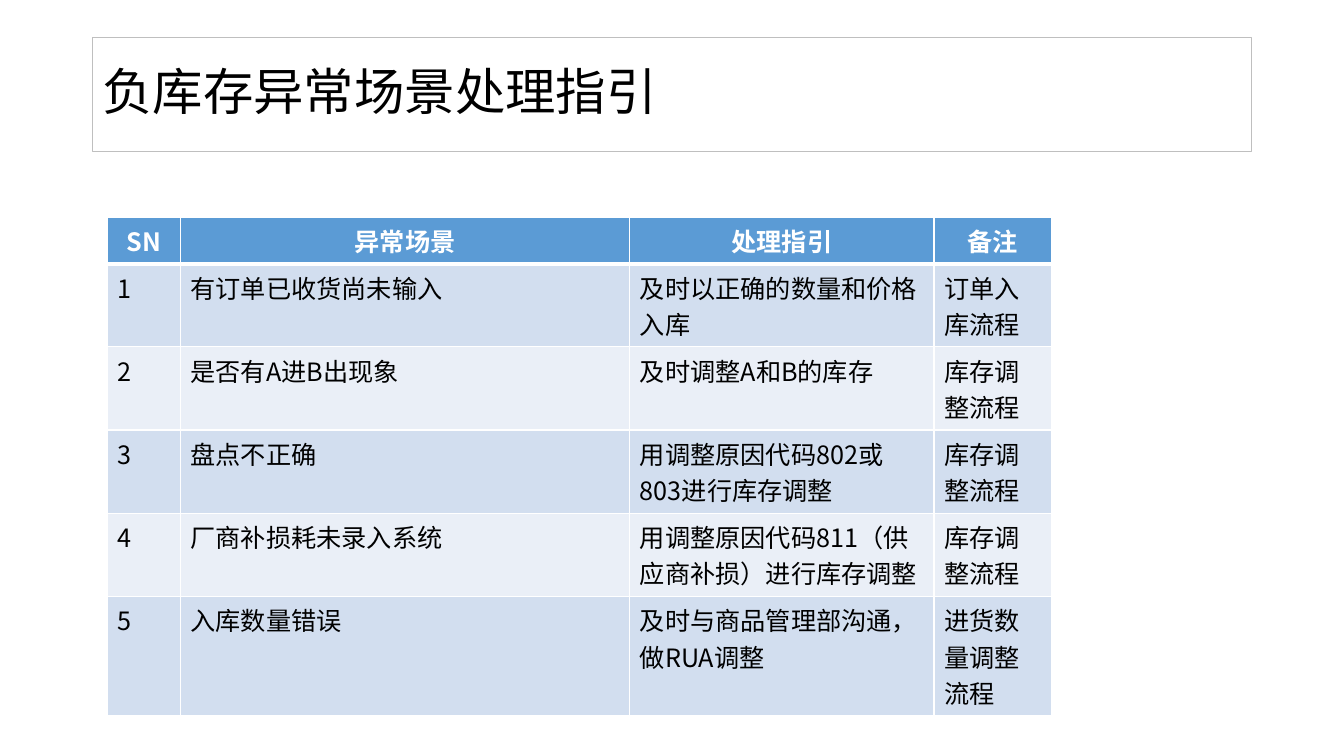
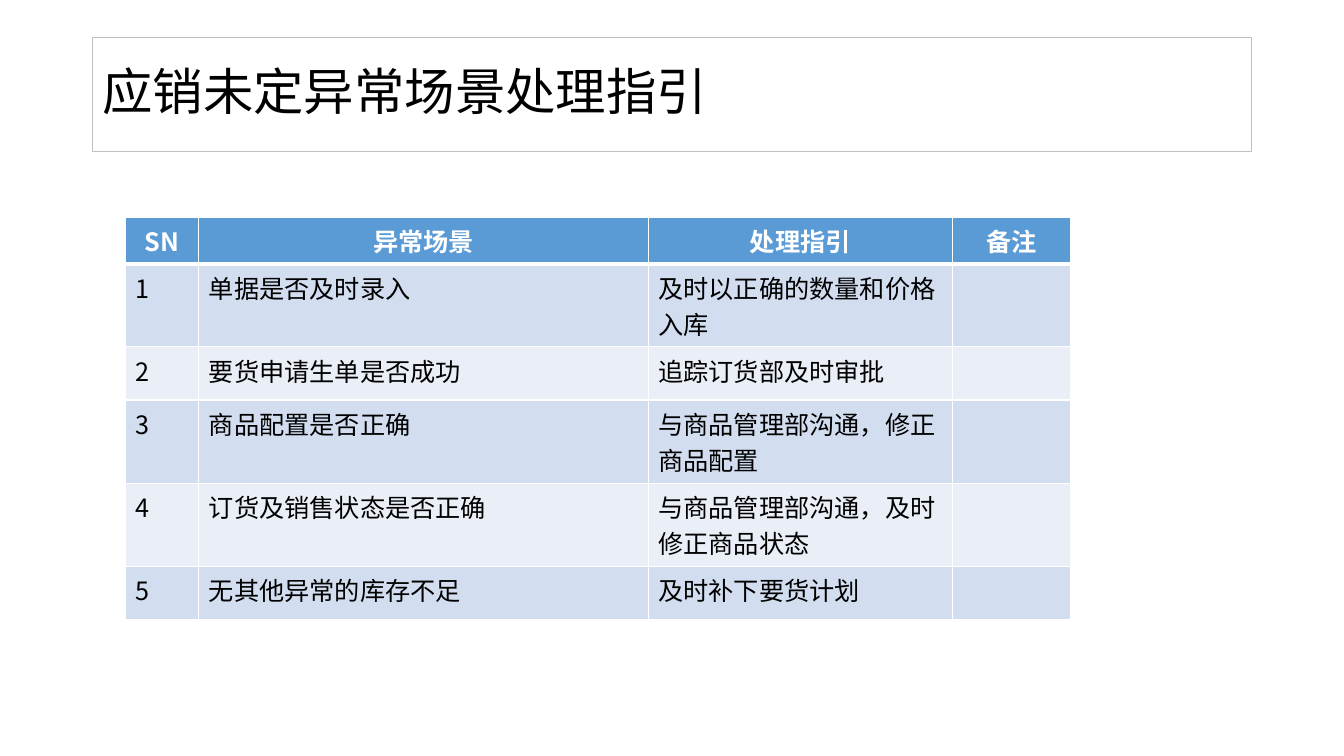
from lxml.etree import SubElement
from pptx import Presentation
from pptx.dml.color import RGBColor
from pptx.enum.text import MSO_ANCHOR, PP_ALIGN
from pptx.oxml.ns import qn
from pptx.util import Pt

BLACK = RGBColor(0x00, 0x00, 0x00)
WHITE = RGBColor(0xFF, 0xFF, 0xFF)
FRAME_GRAY = RGBColor(0xBF, 0xBF, 0xBF)
HEADER_BLUE = RGBColor(0x5B, 0x9B, 0xD5)
BANDS = [RGBColor(0xD2, 0xDE, 0xEF), RGBColor(0xEA, 0xEF, 0xF7)]
CJK_FONT = "Noto Sans CJK SC"
LATIN_FONT = "Calibri"

COL_WIDTHS = [52.5, 321, 217.25, 84.25]
HEADER_HEIGHT = 33.4
LINE_HEIGHTS = {1: 38, 2: 59.4, 3: 85}  # row height by lines of text
TABLE_TOP = 155
HEADER = ("SN", "异常场景", "处理指引", "备注")

# Title, left edge of the table, lines per body row,
# body rows (scenario, guidance, remark)
SLIDES = [
    ("负库存异常场景处理指引", 76.4, (2, 2, 2, 2, 3), [
        ("有订单已收货尚未输入", "及时以正确的数量和价格入库", "订单入库流程"),
        ("是否有A进B出现象", "及时调整A和B的库存", "库存调整流程"),
        ("盘点不正确", "用调整原因代码802或803进行库存调整", "库存调整流程"),
        ("厂商补损耗未录入系统", "用调整原因代码811（供应商补损）进行库存调整", "库存调整流程"),
        ("入库数量错误", "及时与商品管理部沟通，做RUA调整", "进货数量调整流程"),
    ]),
    ("应销未定异常场景处理指引", 89.5, (2, 1, 2, 2, 1), [
        ("单据是否及时录入", "及时以正确的数量和价格入库", ""),
        ("要货申请生单是否成功", "追踪订货部及时审批", ""),
        ("商品配置是否正确", "与商品管理部沟通，修正商品配置", ""),
        ("订货及销售状态是否正确", "与商品管理部沟通，及时修正商品状态", ""),
        ("无其他异常的库存不足", "及时补下要货计划", ""),
    ]),
]


def add_run(p, text, size, color, font=CJK_FONT, bold=False):
    r = p.add_run()
    r.text = text
    r.font.size = Pt(size)
    r.font.bold = bold
    r.font.color.rgb = color
    r.font.name = font
    SubElement(r.font._element, qn("a:ea"), typeface=CJK_FONT)


def set_borders(cell, top, bottom):
    """Draw white cell borders; top and bottom are widths in points."""
    tc_pr = cell._tc.get_or_add_tcPr()
    for side, width in (("L", 1), ("R", 1), ("T", top), ("B", bottom)):
        ln = SubElement(tc_pr, qn(f"a:ln{side}"), w=str(Pt(width)))
        fill = SubElement(ln, qn("a:solidFill"))
        SubElement(fill, qn("a:srgbClr"), val=str(WHITE))


prs = Presentation()
prs.slide_width, prs.slide_height = Pt(960), Pt(540)

for title, table_left, line_counts, body in SLIDES:
    s = prs.slides.add_slide(prs.slide_layouts[6])

    sp = s.shapes.add_textbox(Pt(66), Pt(26.75), Pt(828), Pt(81.5))
    sp.line.color.rgb = FRAME_GRAY
    sp.line.width = Pt(0.75)
    tf = sp.text_frame
    tf.word_wrap = True
    tf.vertical_anchor = MSO_ANCHOR.MIDDLE
    p = tf.paragraphs[0]
    p.line_spacing = 0.9
    add_run(p, title, 36, BLACK)

    rows = [HEADER] + [(str(n), *row) for n, row in enumerate(body, 1)]
    heights = [HEADER_HEIGHT] + [LINE_HEIGHTS[n] for n in line_counts]
    table = s.shapes.add_table(
        len(rows), len(HEADER), Pt(table_left), Pt(TABLE_TOP),
        Pt(sum(COL_WIDTHS)), Pt(sum(heights))).table
    for col, width in zip(table.columns, COL_WIDTHS):
        col.width = Pt(width)

    for i, row in enumerate(rows):
        table.rows[i].height = Pt(heights[i])
        is_header = i == 0
        for j, text in enumerate(row):
            cell = table.cell(i, j)
            set_borders(cell, 3 if i == 1 else 1, 3 if is_header else 1)
            cell.fill.solid()
            cell.fill.fore_color.rgb = HEADER_BLUE if is_header else BANDS[(i - 1) % 2]
            p = cell.text_frame.paragraphs[0]
            if is_header:
                p.alignment = PP_ALIGN.CENTER
            if text:
                uses_latin = j == 3 or (is_header and j > 0)
                add_run(p, text, 18, WHITE if is_header else BLACK,
                        LATIN_FONT if uses_latin else CJK_FONT, is_header)

prs.save("out.pptx")
